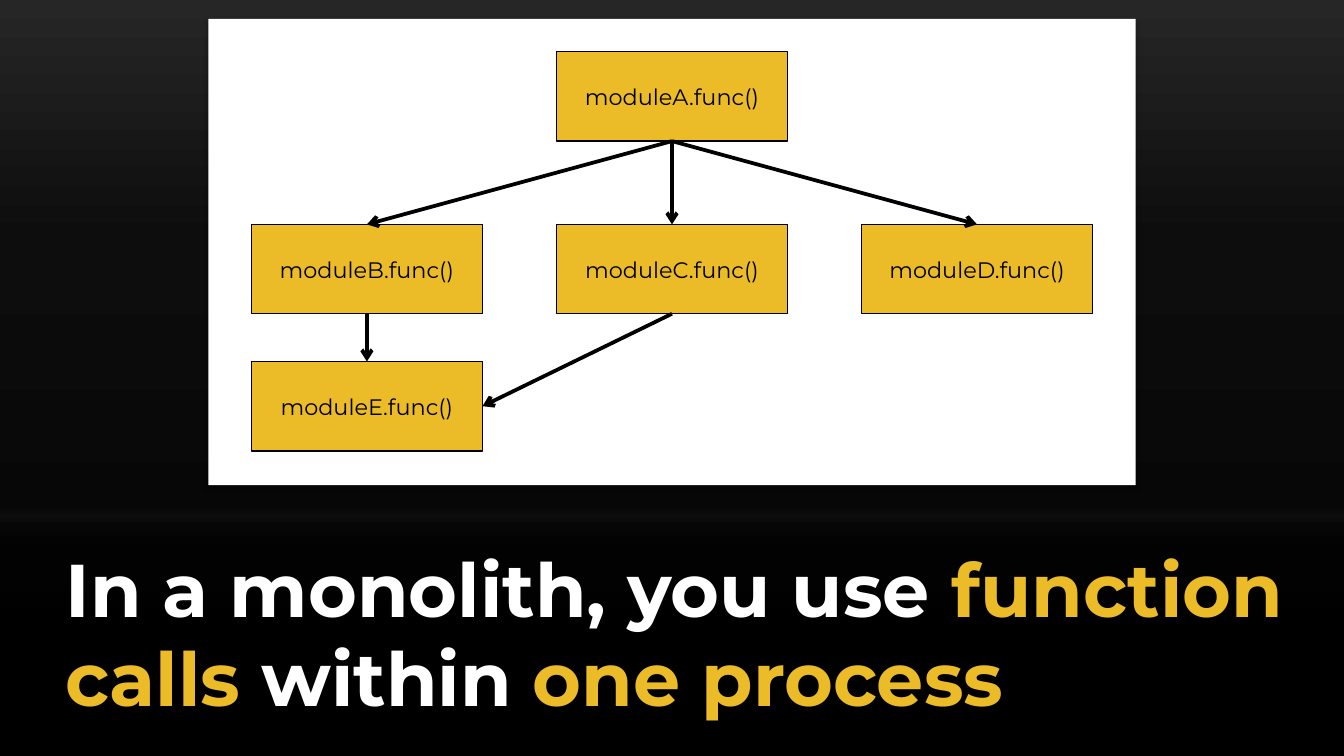
from dataclasses import dataclass

from lxml import etree
from pptx import Presentation
from pptx import util as u
from pptx.dml.color import RGBColor
from pptx.enum import shapes, text
from pptx.oxml import ns

PX = 4572  # EMU in one px: 200 px to the inch
BOTTOM, TOP, RIGHT = 2, 0, 3


@dataclass(frozen=True)
class Theme:
    font: str = "Montserrat"
    black: str = "000000"
    white: str = "FFFFFF"
    accent: str = "ECBC28"
    label_size: int = 12
    caption_size: int = 40
    border: float = 0.75
    arrow: float = 2
    # Gradient stops: position, colour, opacity (percent)
    backdrop: tuple = ((0, "000000", 100), (68, "0D0D0D", 100), (100, "262626", 100))
    veil: tuple = ((0, "000000", 80), (20, "000000", 75), (38, "000000", 70),
                   (59, "000000", 60), (82, "000000", 30), (88, "000000", 20),
                   (94, "000000", 10), (100, "FFFFFF", 0))


def px(value):
    return u.Emu(value * PX)


def add_xml(parent, tag, **attributes):
    values = {name: str(value) for name, value in attributes.items()}
    return etree.SubElement(parent, ns.qn(tag), values)


def add_color(parent, color, opacity):
    element = add_xml(parent, "a:srgbClr", val=color)
    if opacity < 100:
        add_xml(element, "a:alpha", val=opacity * 1000)


def set_gradient(fill, owner, stops):
    """Fill from the bottom up with the given stops."""
    fill.gradient()
    gradient = owner.find(".//" + ns.qn("a:gradFill"))
    for child in list(gradient):
        gradient.remove(child)
    stop_list = add_xml(gradient, "a:gsLst")
    for position, color, opacity in stops:
        add_color(add_xml(stop_list, "a:gs", pos=position * 1000), color, opacity)
    add_xml(gradient, "a:lin", ang=270 * 60000, scaled=0)


def write_text(shape, runs, *, font, size, bold=False, align=text.PP_ALIGN.LEFT,
               margin_right=20, indent=0):
    """Write one paragraph of (words, colour) runs."""
    frame = shape.text_frame
    frame.word_wrap = True
    frame.vertical_anchor = text.MSO_ANCHOR.MIDDLE
    frame.margin_left = px(20)
    frame.margin_right = px(margin_right)
    paragraph = frame.paragraphs[0]
    paragraph.alignment = align
    if indent:
        properties = paragraph._p.get_or_add_pPr()
        properties.set("marL", str(px(indent)))
        properties.set("indent", "0")
    for words, color in runs:
        run = paragraph.add_run()
        run.text = words
        run.font.name = font
        run.font.size = u.Pt(size)
        run.font.bold = bold
        run.font.color.rgb = RGBColor.from_string(color)


class SlideBuilder:
    def __init__(self, slide, theme):
        self.slide = slide
        self.theme = theme

    def background(self):
        set_gradient(self.slide.background.fill, self.slide._element, self.theme.backdrop)

    def rectangle(self, left, top, width, height, fill=None):
        shape = self.slide.shapes.add_shape(
            shapes.MSO_SHAPE.RECTANGLE, px(left), px(top), px(width), px(height))
        shape.shadow.inherit = False
        shape.line.fill.background()
        if fill:
            shape.fill.solid()
            shape.fill.fore_color.rgb = RGBColor.from_string(fill)
        return shape

    def panel(self, left, top, width, height):
        shape = self.rectangle(left, top, width, height, self.theme.white)
        effects = shape._element.spPr.find(ns.qn("a:effectLst"))
        shadow = add_xml(effects, "a:outerShdw", blurRad=u.Pt(3.1), dist=u.Pt(1.8),
                         dir=90 * 60000, rotWithShape=0)
        add_color(shadow, self.theme.black, 35)

    def caption(self, left, top, width, height, runs):
        shape = self.rectangle(left, top, width, height)
        set_gradient(shape.fill, shape._element.spPr, self.theme.veil)
        shape.text_frame.margin_top = shape.text_frame.margin_bottom = px(20)
        write_text(shape, runs, font=self.theme.font, size=self.theme.caption_size,
                   bold=True, margin_right=60, indent=80)

    def module(self, left, top, width, height, label):
        shape = self.rectangle(left, top, width, height, self.theme.accent)
        shape.line.color.rgb = RGBColor.from_string(self.theme.black)
        shape.line.width = u.Pt(self.theme.border)
        write_text(shape, [(label, self.theme.black)], font=self.theme.font,
                   size=self.theme.label_size, align=text.PP_ALIGN.CENTER)
        return shape

    def call_arrow(self, caller, callee, end_side):
        connector = self.slide.shapes.add_connector(
            shapes.MSO_CONNECTOR.STRAIGHT, 0, 0, 0, 0)
        connector.begin_connect(caller, BOTTOM)
        connector.end_connect(callee, end_side)
        connector.line.color.rgb = RGBColor.from_string(self.theme.black)
        connector.line.width = u.Pt(self.theme.arrow)
        add_xml(connector.line._get_or_add_ln(), "a:tailEnd", type="arrow")
        add_xml(connector._element.spPr, "a:effectLst")


def main():
    presentation = Presentation()
    presentation.slide_width = px(2000)
    presentation.slide_height = px(1125)
    slide = presentation.slides.add_slide(presentation.slide_layouts[6])
    theme = Theme()
    builder = SlideBuilder(slide, theme)

    # Backdrop, diagram panel and caption
    builder.background()
    builder.panel(310, 28, 1380, 694)
    builder.caption(-2, 757, 2002, 368, [
        ("In a monolith, you use ", theme.white), ("function calls", theme.accent),
        (" within ", theme.white), ("one process", theme.accent)])

    # Modules on a grid: name, column, row
    columns = [374 + 454 * index for index in range(3)]
    rows = [77, 334, 538]
    modules = {}
    for name, column, row in [("A", 1, 0), ("B", 0, 1), ("C", 1, 1),
                              ("D", 2, 1), ("E", 0, 2)]:
        modules[name] = builder.module(
            columns[column], rows[row], 344, 133, f"module{name}.func()")

    # Calls between modules
    for caller, callee, end_side in [("A", "B", TOP), ("A", "C", TOP), ("A", "D", TOP),
                                     ("B", "E", TOP), ("C", "E", RIGHT)]:
        builder.call_arrow(modules[caller], modules[callee], end_side)

    presentation.save("out.pptx")


if __name__ == "__main__":
    main()
